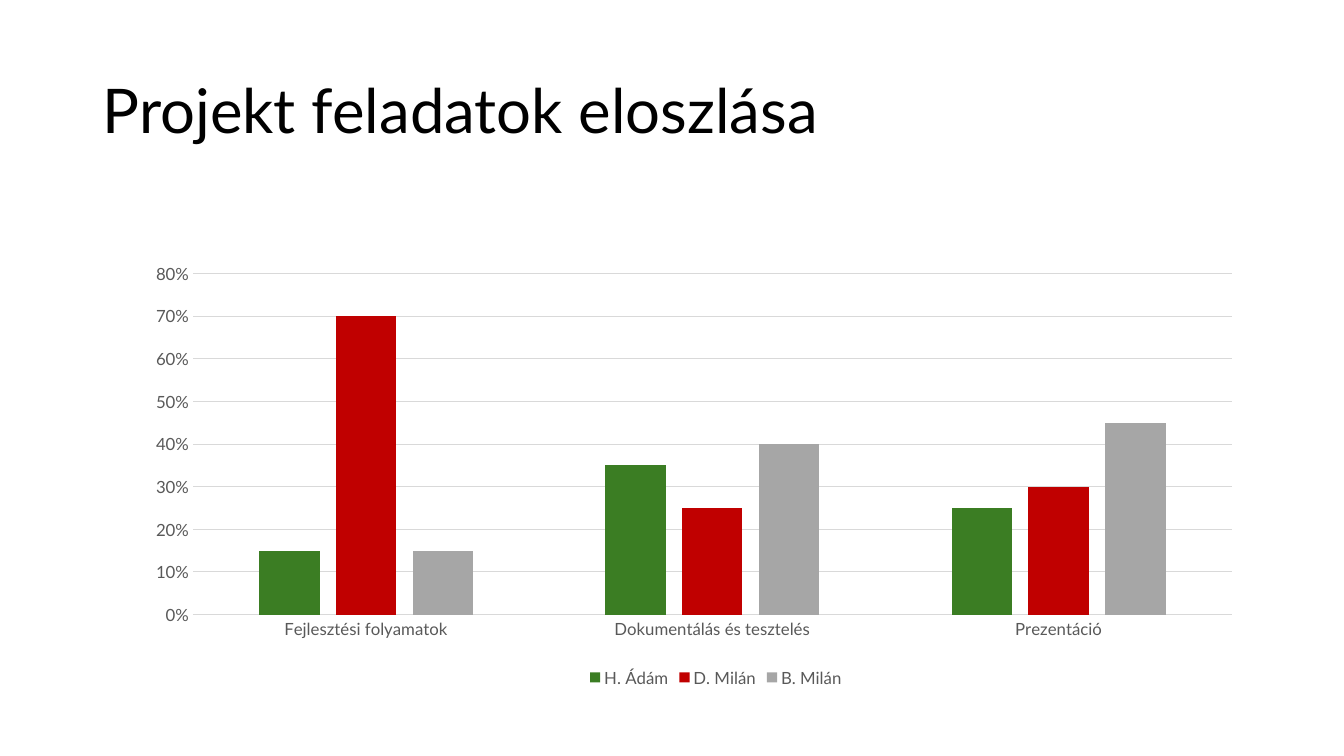
from dataclasses import dataclass

from lxml.etree import SubElement
from pptx import Presentation
from pptx.chart.data import CategoryChartData
from pptx.dml.color import RGBColor
from pptx.enum.chart import XL_CHART_TYPE, XL_LEGEND_POSITION, XL_TICK_MARK
from pptx.enum.text import MSO_ANCHOR, PP_ALIGN
from pptx.oxml.ns import qn
from pptx.util import Inches, Pt


@dataclass(frozen=True)
class Theme:
    font: str = "Lato"
    title_size: int = 44
    chart_size: int = 12
    ink: str = "000000"
    label: str = "595959"
    rule: str = "D9D9D9"
    paper: str = "FFFFFF"


def style_font(font, size, color):
    font.name = theme.font
    font.size = Pt(size)
    font.bold = False
    font.color.rgb = RGBColor.from_string(color)


def style_line(line):
    line.color.rgb = RGBColor.from_string(theme.rule)
    line.width = Pt(0.75)


theme = Theme()
categories = ["Fejlesztési folyamatok", "Dokumentálás és tesztelés", "Prezentáció"]
members = [
    ("H. Ádám", "3B7D23", (0.15, 0.35, 0.25)),
    ("D. Milán", "C00000", (0.7, 0.25, 0.3)),
    ("B. Milán", "A6A6A6", (0.15, 0.4, 0.45)),
]
plot_area = {"x": 0.049, "y": 0.129, "w": 0.896, "h": 0.711}

deck = Presentation()
deck.slide_width = Inches(13.33)
deck.slide_height = Inches(7.5)
page = deck.slides.add_slide(deck.slide_layouts[5])
page.background.fill.solid()
page.background.fill.fore_color.rgb = RGBColor.from_string(theme.paper)

title = page.shapes.title
title.left, title.top = Inches(0.92), Inches(0.4)
title.width, title.height = Inches(11.5), Inches(1.45)
title.text_frame.vertical_anchor = MSO_ANCHOR.MIDDLE
title.text_frame.word_wrap = True
para = title.text_frame.paragraphs[0]
para.alignment = PP_ALIGN.LEFT
para.line_spacing = 0.9
span = para.add_run()
span.text = "Projekt feladatok eloszlása"
style_font(span.font, theme.title_size, theme.ink)

data = CategoryChartData(number_format="0%")
data.categories = categories
for name, color, shares in members:
    data.add_series(name, shares)
chart = page.shapes.add_chart(
    XL_CHART_TYPE.COLUMN_CLUSTERED,
    Inches(1.35), Inches(2.1), Inches(11.5), Inches(4.76), data,
).chart
chart.has_title = False
style_font(chart.font, theme.chart_size, theme.label)

plot = chart.plots[0]
plot.gap_width = 219
plot.overlap = -27
plot.vary_by_categories = False
for series, (name, color, shares) in zip(plot.series, members):
    series.format.fill.solid()
    series.format.fill.fore_color.rgb = RGBColor.from_string(color)

for axis in (chart.category_axis, chart.value_axis):
    axis.major_tick_mark = XL_TICK_MARK.NONE
    axis.minor_tick_mark = XL_TICK_MARK.NONE
    style_font(axis.tick_labels.font, theme.chart_size, theme.label)
style_line(chart.category_axis.format.line)

shares_axis = chart.value_axis
shares_axis.minimum_scale = 0
shares_axis.maximum_scale = 0.8
shares_axis.major_unit = 0.1
shares_axis.format.line.fill.background()
shares_axis.has_major_gridlines = True
style_line(shares_axis.major_gridlines.format.line)
shares_axis.tick_labels.number_format = "0%"
shares_axis.tick_labels.number_format_is_linked = False

chart.has_legend = True
chart.legend.position = XL_LEGEND_POSITION.BOTTOM
chart.legend.include_in_layout = False
style_font(chart.legend.font, theme.chart_size, theme.label)

plot_element = chart.element.find(".//" + qn("c:plotArea"))
layout = plot_element.find(qn("c:layout"))
if layout is None:
    layout = SubElement(plot_element, qn("c:layout"))
    plot_element.insert(0, layout)
manual = SubElement(layout, qn("c:manualLayout"))
SubElement(manual, qn("c:layoutTarget")).set("val", "inner")
for side in "xy":
    SubElement(manual, qn(f"c:{side}Mode")).set("val", "edge")
for side, share in plot_area.items():
    SubElement(manual, qn(f"c:{side}")).set("val", str(share))

deck.save("out.pptx")
